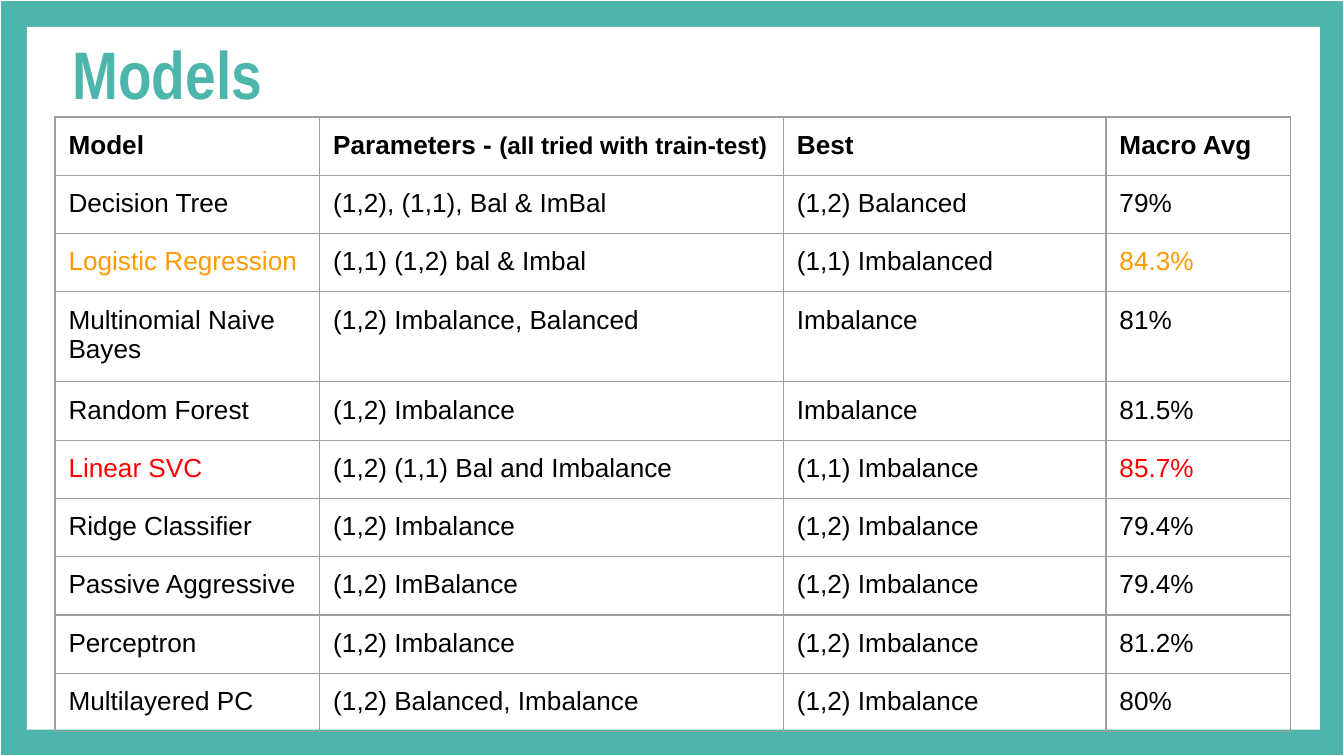
from lxml import etree
from pptx import Presentation
from pptx import util as u
from pptx.dml.color import RGBColor
from pptx.enum import shapes, text
from pptx.oxml.ns import qn

SLIDE_WIDTH = 10
SLIDE_HEIGHT = SLIDE_WIDTH * 9 / 16
COLORS = {
    "teal": "4DB6AC",
    "white": "FFFFFF",
    "black": "000000",
    "grid": "9E9E9E",
    "second": "FF9900",
    "first": "FF0000",
}
COLUMN_WIDTHS = [1.97, 3.45, 2.4, 1.37]
ROW_HEIGHT = 0.43
TALL_ROW_HEIGHT = 0.67
HEADER = ["Model", "Parameters - ", "Best", "Macro Avg"]
HEADER_NOTE = "(all tried with train-test)"
MODELS = [
    ["Decision Tree", "(1,2), (1,1), Bal & ImBal", "(1,2) Balanced", "79%"],
    ["Logistic Regression", "(1,1) (1,2) bal & Imbal", "(1,1) Imbalanced", "84.3%"],
    ["Multinomial Naive\nBayes", "(1,2) Imbalance, Balanced", "Imbalance", "81%"],
    ["Random Forest", "(1,2) Imbalance", "Imbalance", "81.5%"],
    ["Linear SVC", "(1,2) (1,1) Bal and Imbalance", "(1,1) Imbalance", "85.7%"],
    ["Ridge Classifier", "(1,2) Imbalance", "(1,2) Imbalance", "79.4%"],
    ["Passive Aggressive", "(1,2) ImBalance", "(1,2) Imbalance", "79.4%"],
    ["Perceptron", "(1,2) Imbalance", "(1,2) Imbalance", "81.2%"],
    ["Multilayered PC", "(1,2) Balanced, Imbalance", "(1,2) Imbalance", "80%"],
]
HIGHLIGHTS = {"Logistic Regression": "second", "Linear SVC": "first"}
HIGHLIGHTED_COLUMNS = (0, 3)


def rgb(name):
    return RGBColor.from_string(COLORS[name])


def style_font(font, name, size, color, bold):
    font.name = name
    font.size = u.Pt(size)
    font.bold = bold
    font.color.rgb = rgb(color)


def add_panel(slide, left, top, width, height, fill, line=None):
    panel = slide.shapes.add_shape(
        shapes.MSO_SHAPE.RECTANGLE,
        u.Inches(left), u.Inches(top), u.Inches(width), u.Inches(height))
    panel.shadow.inherit = False
    panel.fill.solid()
    panel.fill.fore_color.rgb = rgb(fill)
    if line:
        panel.line.color.rgb = rgb(line)
        panel.line.width = u.Pt(0.75)
    else:
        panel.line.fill.background()


def set_margins(target):
    for side in ("left", "right", "top", "bottom"):
        setattr(target, f"margin_{side}", u.Inches(0.1))


def add_title(slide, title):
    box = slide.shapes.add_textbox(
        u.Inches(0.44), u.Inches(0.13), u.Inches(8.48), u.Inches(0.81))
    frame = box.text_frame
    frame.word_wrap = True
    frame.vertical_anchor = text.MSO_ANCHOR.BOTTOM
    set_margins(frame)
    paragraph = frame.paragraphs[0]
    paragraph.text = title
    style_font(paragraph.font, "Arial Narrow", 36, "teal", True)


def add_borders(cell):
    properties = cell._tc.get_or_add_tcPr()
    for edge in ("lnL", "lnR", "lnT", "lnB"):
        line = etree.SubElement(properties, qn(f"a:{edge}"), w=str(u.Pt(0.75)))
        fill = etree.SubElement(line, qn("a:solidFill"))
        etree.SubElement(fill, qn("a:srgbClr"), val=COLORS["grid"])


def fill_cell(cell, content, color, bold):
    set_margins(cell)
    add_borders(cell)
    cell.fill.background()
    cell.text = content
    for paragraph in cell.text_frame.paragraphs:
        style_font(paragraph.font, "Arial", 14, color, bold)


def add_models_table(slide):
    rows = [HEADER] + MODELS
    heights = [TALL_ROW_HEIGHT if "\n" in row[0] else ROW_HEIGHT for row in rows]
    table = slide.shapes.add_table(
        len(rows), len(HEADER), u.Inches(0.41), u.Inches(0.87),
        u.Inches(sum(COLUMN_WIDTHS)), u.Inches(sum(heights))).table
    table.horz_banding = False
    for column, width in zip(table.columns, COLUMN_WIDTHS):
        column.width = u.Inches(width)
    for row_index, row in enumerate(rows):
        table.rows[row_index].height = u.Inches(heights[row_index])
        highlight = HIGHLIGHTS.get(row[0], "black")
        for column_index, content in enumerate(row):
            color = highlight if column_index in HIGHLIGHTED_COLUMNS else "black"
            fill_cell(table.cell(row_index, column_index), content, color, row_index == 0)
    note = table.cell(0, 1).text_frame.paragraphs[0].add_run()
    note.text = HEADER_NOTE
    note.font.size = u.Pt(13)


def main():
    presentation = Presentation()
    presentation.slide_width = u.Inches(SLIDE_WIDTH)
    presentation.slide_height = u.Inches(SLIDE_HEIGHT)
    slide = presentation.slides.add_slide(presentation.slide_layouts[6])
    add_panel(slide, 0, 0, SLIDE_WIDTH, SLIDE_HEIGHT, "teal", "white")
    add_panel(slide, 0.2, 0.2, 9.62, 5.23, "white")
    add_title(slide, "Models")
    add_models_table(slide)
    presentation.save("out.pptx")


if __name__ == "__main__":
    main()
